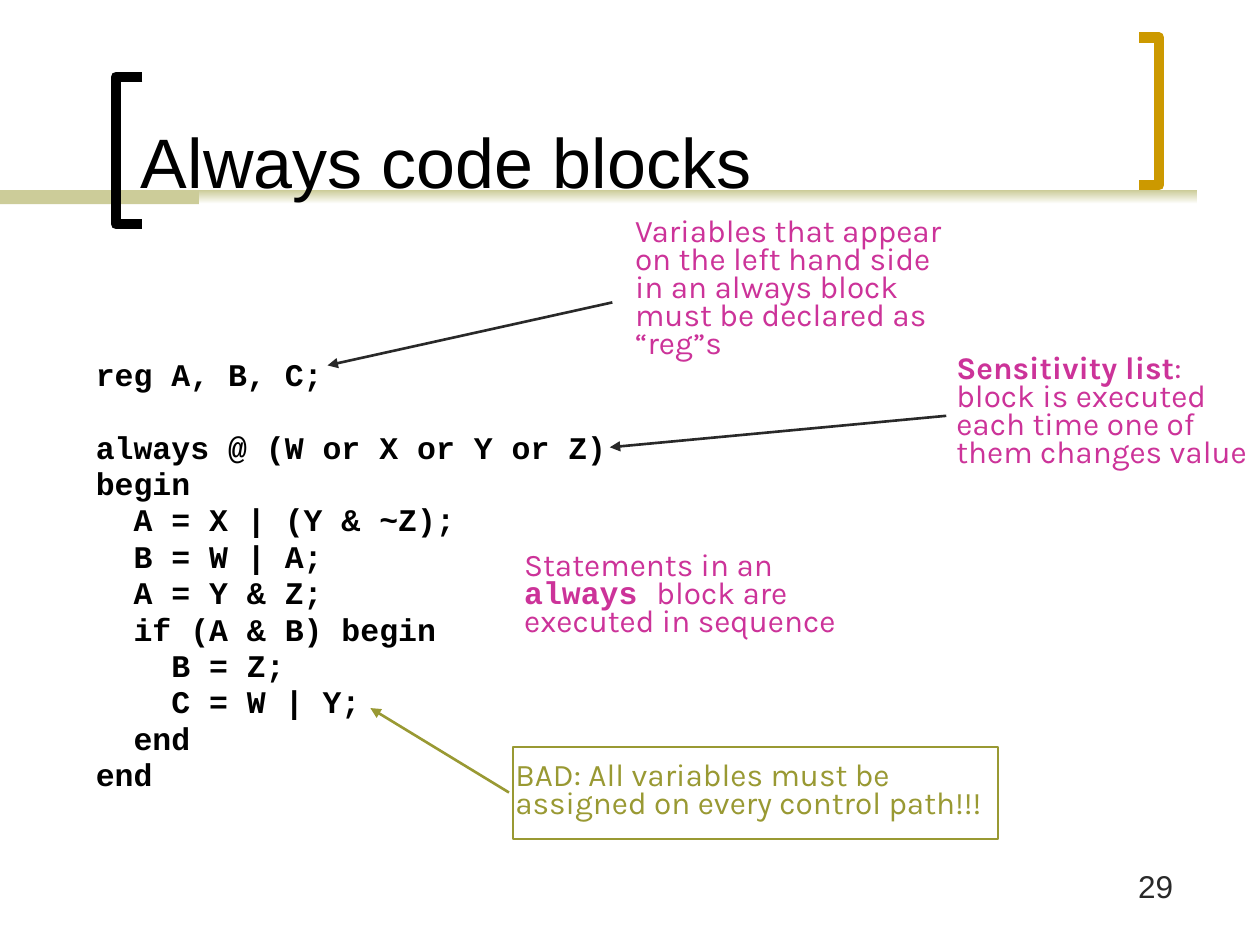
from lxml.etree import SubElement
from pptx import Presentation
from pptx.dml.color import RGBColor
from pptx.enum.shapes import MSO_CONNECTOR, MSO_SHAPE
from pptx.enum.text import MSO_ANCHOR, MSO_AUTO_SIZE, PP_ALIGN
from pptx.oxml.ns import qn
from pptx.util import Inches, Pt

BLACK = RGBColor(0x00, 0x00, 0x00)
WHITE = RGBColor(0xFF, 0xFF, 0xFF)
CHARCOAL = RGBColor(0x29, 0x29, 0x29)
SAND = RGBColor(0xCC, 0xCC, 0x99)
GOLD = RGBColor(0xCC, 0x99, 0x00)
MAGENTA = RGBColor(0xCC, 0x33, 0x99)
OLIVE = RGBColor(0x99, 0x99, 0x33)

BODY_FONT = "Arial"
CODE_FONT = "Courier New"
NOTE_FONT = "Karla"

CODE = """reg A, B, C;

always @ (W or X or Y or Z)
begin
  A = X | (Y & ~Z);
  B = W | A;
  A = Y & Z;
  if (A & B) begin
    B = Z;
    C = W | Y;
  end
end"""


def add_bar(page, left, width):
    bar = page.shapes.add_shape(
        MSO_SHAPE.RECTANGLE, Inches(left), Inches(1.51), Inches(width), Inches(0.11))
    bar.shadow.inherit = False
    bar.line.fill.background()
    return bar


def add_title_bars(page):
    solid = add_bar(page, 0, 1.58)
    solid.fill.solid()
    solid.fill.fore_color.rgb = SAND
    fading = add_bar(page, 1.58, 7.92)
    fading.fill.gradient()
    fading.fill.gradient_angle = 90
    for stop, color in zip(fading.fill.gradient_stops, (WHITE, SAND)):
        stop.color.rgb = color


def add_bracket(page, spine, tip, top, color):
    bottom = top + 1.17
    builder = page.shapes.build_freeform(Inches(tip), Inches(top))
    corners = [(spine, top), (spine, bottom), (tip, bottom)]
    builder.add_line_segments(
        [(Inches(x), Inches(y)) for x, y in corners], close=False)
    bracket = builder.convert_to_shape()
    bracket.shadow.inherit = False
    bracket.fill.background()
    bracket.line.color.rgb = color
    bracket.line.width = Pt(6)


def add_arrow(page, start, end, color):
    arrow = page.shapes.add_connector(
        MSO_CONNECTOR.STRAIGHT, *(Inches(value) for value in start + end))
    arrow.line.color.rgb = color
    arrow.line.width = Pt(1.5)
    SubElement(arrow.line._get_or_add_ln(), qn("a:tailEnd"), type="triangle")
    SubElement(arrow._element.spPr, qn("a:effectLst"))


def write_text(box, paragraphs, font=NOTE_FONT, size=18, color=MAGENTA, bold=False,
               spacing=None, anchor=MSO_ANCHOR.MIDDLE, align=PP_ALIGN.LEFT,
               wrap=True, margins=(0.02, 0.03)):
    frame = box.text_frame
    frame.word_wrap = wrap
    frame.auto_size = MSO_AUTO_SIZE.NONE
    frame.vertical_anchor = anchor
    frame.margin_left = frame.margin_right = Inches(margins[0])
    frame.margin_top = frame.margin_bottom = Inches(margins[1])
    for index, spans in enumerate(paragraphs):
        para = frame.add_paragraph() if index else frame.paragraphs[0]
        para.alignment = align
        if spacing:
            para.line_spacing = Pt(spacing)
        for text, *style in spans:
            span = para.add_run()
            span.text = text
            span.font.name, span.font.bold = style or (font, bold)
            span.font.size = Pt(size)
            span.font.color.rgb = color


def add_text(page, place, paragraphs, **style):
    box = page.shapes.add_textbox(*(Inches(value) for value in place))
    write_text(box, paragraphs, **style)
    return box


def add_code(page, place, code, line_height=20.8):
    blocks = [block.split("\n") for block in code.split("\n\n")]
    lines = [[(line,)] for block in blocks for line in block]
    box = add_text(page, place, lines, font=CODE_FONT, color=BLACK, bold=True,
                   spacing=line_height, wrap=False)
    first_of_block = 0
    for block in blocks[:-1]:
        first_of_block += len(block)
        box.text_frame.paragraphs[first_of_block].space_before = Pt(line_height)


def add_framed_note(page, place, text, color):
    frame = page.shapes.add_shape(
        MSO_SHAPE.RECTANGLE, *(Inches(value) for value in place))
    frame.shadow.inherit = False
    frame.fill.background()
    frame.line.color.rgb = color
    frame.line.width = Pt(1.5)
    write_text(frame, [[(text,)]], color=color, spacing=16)


def main():
    deck = Presentation()
    deck.slide_width, deck.slide_height = Inches(10), Inches(7.5)
    page = deck.slides.add_slide(deck.slide_layouts[6])

    add_title_bars(page)
    add_bracket(page, 0.92, 1.13, 0.61, BLACK)
    add_bracket(page, 9.2, 9.04, 0.3, GOLD)
    add_text(page, (1.02, 0.11, 7.83, 1.55), [[("Always code blocks",)]],
             font=BODY_FONT, size=40, color=BLACK, anchor=MSO_ANCHOR.BOTTOM,
             margins=(0.1, 0.05))

    add_code(page, (0.74, 2.8, 4.09, 3.52), CODE)

    add_arrow(page, (7.51, 3.3), (4.84, 3.55), CHARCOAL)
    add_text(page, (7.57, 2.81, 2.4, 0.95),
             [[("Sensitivity list", NOTE_FONT, True), (":",)],
              [("block is executed",)],
              [("each time one of",)],
              [("them changes value",)]],
             spacing=16, wrap=False)

    add_arrow(page, (4.86, 2.4), (2.6, 2.9), CHARCOAL)
    add_text(page, (5.02, 1.72, 2.66, 1.17),
             [[("Variables that appear on the left hand side in an always block "
                "must be declared as “reg”s",)]],
             spacing=16)

    add_text(page, (4.14, 4.37, 2.94, 0.73),
             [[("Statements in an ",), ("always ", CODE_FONT, True),
               ("block are executed in sequence",)]],
             spacing=16)

    add_framed_note(page, (4.07, 5.93, 3.85, 0.73),
                    "BAD: All variables must be assigned on every control path!!!",
                    OLIVE)
    add_arrow(page, (4.04, 6.29), (2.94, 5.62), OLIVE)

    add_text(page, (7.33, 6.83, 2.08, 0.5), [[("29",)]], font=BODY_FONT,
             color=CHARCOAL, anchor=MSO_ANCHOR.TOP, align=PP_ALIGN.RIGHT,
             margins=(0.1, 0.05))

    deck.save("out.pptx")


if __name__ == "__main__":
    main()
